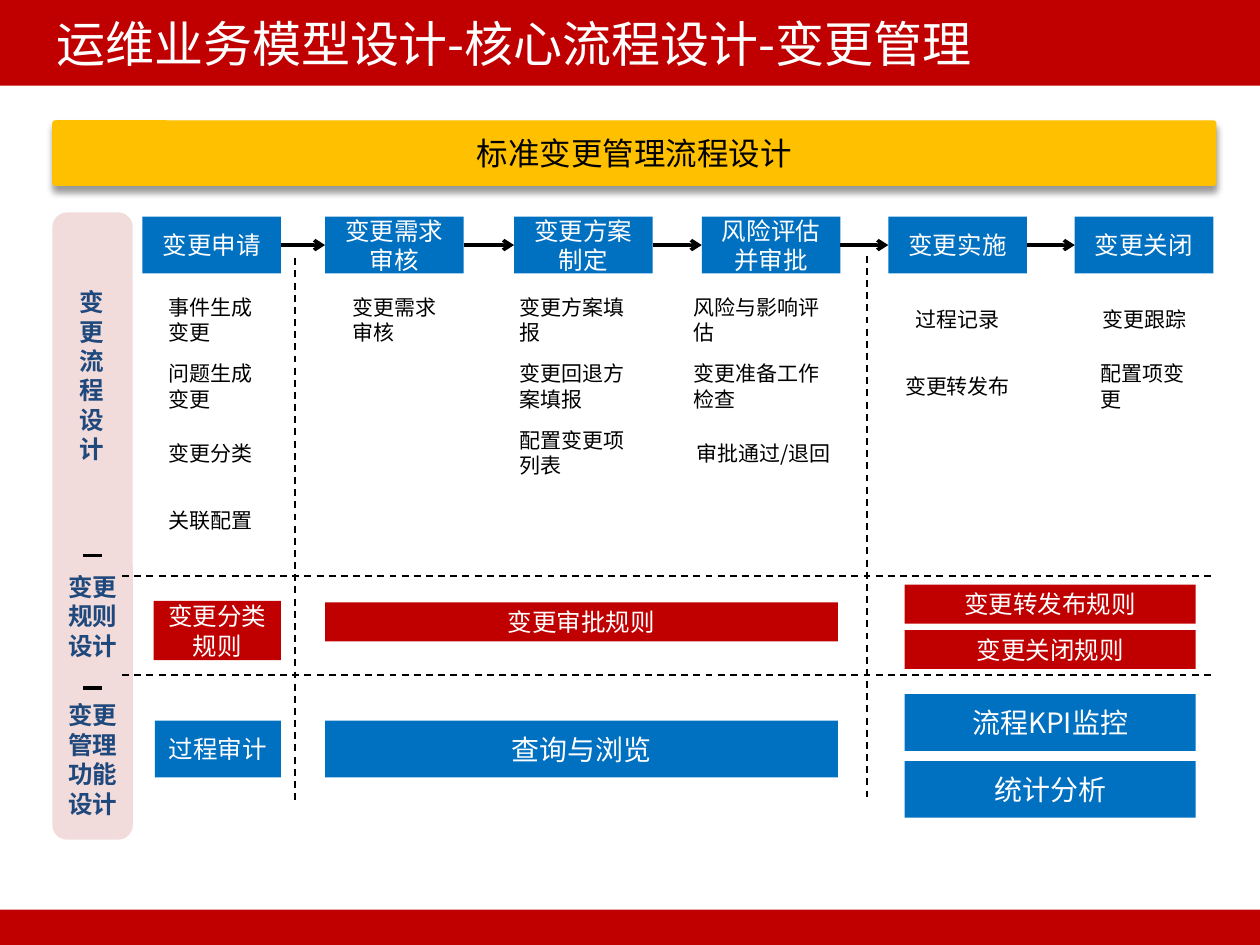
import lxml.etree
import pptx
import pptx.dml.color
import pptx.enum.dml
import pptx.enum.shapes
import pptx.enum.text
import pptx.oxml.ns
import pptx.util

COLUMNS, ROWS = 100, 75
WIDTH, HEIGHT = pptx.util.Inches(10), pptx.util.Inches(7.5)
FONT = "Noto Sans CJK SC"
RED, BLUE, GOLD, PINK, NAVY = "C00000", "0070C0", "FFC000", "F2DCDB", "1F497D"
WHITE, BLACK = "FFFFFF", "000000"
RECTANGLE = pptx.enum.shapes.MSO_SHAPE.RECTANGLE
ROUNDED = pptx.enum.shapes.MSO_SHAPE.ROUNDED_RECTANGLE
LEFT, CENTER = pptx.enum.text.PP_ALIGN.LEFT, pptx.enum.text.PP_ALIGN.CENTER
TOP, MIDDLE = pptx.enum.text.MSO_ANCHOR.TOP, pptx.enum.text.MSO_ANCHOR.MIDDLE

STEPS = [
    (11.3, "变更申请"),
    (25.8, "变更需求审核"),
    (40.8, "变更方案制定"),
    (55.7, "风险评估\n并审批"),
    (70.5, "变更实施"),
    (85.3, "变更关闭"),
]
TASK_COLUMNS = [
    (12.2, 10.1, [("事件生成变更", LEFT), ("问题生成变更", LEFT), ("变更分类", LEFT), ("关联配置", LEFT)]),
    (26.8, 10.1, [("变更需求审核", LEFT)]),
    (40.1, 12.3, [("变更方案填报", LEFT), ("变更回退方案填报", LEFT), ("配置变更项列表", LEFT)]),
    (53.9, 13.4, [("风险与影响评估", LEFT), ("变更准备工作检查", LEFT), ("审批通过/退回", CENTER)]),
    (68.6, 14.8, [("过程记录", CENTER), ("变更转发布", CENTER)]),
    (86.2, 9.2, [("变更跟踪", CENTER), ("配置项变更", LEFT)]),
]
RULES = [
    ((12.2, 47.7, 10.1, 4.7), "变更分类规则"),
    ((25.8, 47.8, 40.7, 3.1), "变更审批规则"),
    ((71.8, 46.4, 23.1, 3.1), "变更转发布规则"),
    ((71.8, 50, 23.1, 3.1), "变更关闭规则"),
]
FUNCTIONS = [
    ((12.3, 57.2, 10, 4.5), "过程审计", 14),
    ((25.8, 57.2, 40.7, 4.5), "查询与浏览", 16),
    ((71.8, 55.1, 23.1, 4.5), "流程KPI监控", 16),
    ((71.8, 60.4, 23.1, 4.5), "统计分析", 16),
]
SECTIONS = [
    ((5, 22.3, 4.6, 15.1), "变更流程设计"),
    ((4.3, 44.9, 6.1, 8.1), "变更规则设计"),
    ((4.3, 55.1, 6.1, 10.4), "变更管理功能设计"),
]


def color(value):
    """Return the colour for a hex string."""
    return pptx.dml.color.RGBColor.from_string(value)


def across(columns):
    """Return the length of a number of grid columns."""
    return round(WIDTH * columns / COLUMNS)


def down(rows):
    """Return the length of a number of grid rows."""
    return round(HEIGHT * rows / ROWS)


def place(area):
    """Turn a grid area into left, top, width and height."""
    left, top, width, height = area
    return across(left), down(top), across(width), down(height)


def add_child(parent, tag, **attributes):
    """Append a DrawingML element to its parent."""
    return lxml.etree.SubElement(parent, pptx.oxml.ns.qn(tag), attributes)


def write(shape, text, size, ink, align=CENTER, anchor=MIDDLE, bold=False):
    """Write one paragraph per line of text into a shape."""
    frame = shape.text_frame
    frame.word_wrap = True
    frame.vertical_anchor = anchor
    for index, line in enumerate(text.split("\n")):
        paragraph = frame.add_paragraph() if index else frame.paragraphs[0]
        paragraph.alignment = align
        run = paragraph.add_run()
        run.text = line
        run.font.size = pptx.util.Pt(size)
        run.font.bold = bold
        run.font.name = FONT
        run.font.color.rgb = color(ink)
        add_child(run.font._element, "a:ea", typeface=FONT)


def add_box(slide, area, fill, kind=RECTANGLE, outline=0):
    """Add a flat filled shape with an optional outline of the same colour."""
    shape = slide.shapes.add_shape(kind, *place(area))
    shape.shadow.inherit = False
    shape.fill.solid()
    shape.fill.fore_color.rgb = color(fill)
    if outline:
        shape.line.color.rgb = color(fill)
        shape.line.width = pptx.util.Pt(outline)
    else:
        shape.line.fill.background()
    return shape


def add_label(slide, area, text, size, ink, **style):
    """Add a text box."""
    write(slide.shapes.add_textbox(*place(area)), text, size, ink, **style)


def add_line(slide, start, end, width):
    """Add a black straight line between two grid points."""
    line = slide.shapes.add_connector(
        pptx.enum.shapes.MSO_CONNECTOR.STRAIGHT,
        across(start[0]), down(start[1]), across(end[0]), down(end[1]),
    )
    line.line.color.rgb = color(BLACK)
    line.line.width = pptx.util.Pt(width)
    add_child(line._element.spPr, "a:effectLst")
    return line


def add_divider(slide, start, end):
    """Add a dashed line."""
    line = add_line(slide, start, end, 1)
    line.line.dash_style = pptx.enum.dml.MSO_LINE.DASH


def add_arrow(slide, source, target):
    """Join the right side of one box to the left side of the next."""
    line = add_line(slide, (0, 0), (0, 0), 2)
    line.begin_connect(source, 3)
    line.end_connect(target, 1)
    add_child(line.line._get_or_add_ln(), "a:tailEnd", type="arrow")


def add_banner(slide):
    """Add the gold heading with its soft shadow."""
    banner = add_box(slide, (4.2, 9.6, 92.3, 5.1), GOLD, ROUNDED, 0.75)
    banner.adjustments[0] = 0.04
    effects = banner._element.spPr.find(pptx.oxml.ns.qn("a:effectLst"))
    shadow = add_child(
        effects, "a:outerShdw", blurRad=str(pptx.util.Pt(4)),
        dist=str(pptx.util.Pt(3)), dir="5400000", rotWithShape="0",
    )
    shade = add_child(shadow, "a:srgbClr", val=BLACK)
    add_child(shade, "a:alpha", val="40000")
    write(banner, "标准变更管理流程设计", 18, BLACK)


def add_process(slide):
    """Add the chain of steps and the tasks under each."""
    boxes = []
    for left, text in STEPS:
        box = add_box(slide, (left, 17.2, 11, 4.5), BLUE)
        write(box, text, 14, WHITE)
        boxes.append(box)
    for source, target in zip(boxes, boxes[1:]):
        add_arrow(slide, source, target)
    for left, width, tasks in TASK_COLUMNS:
        for index, (text, align) in enumerate(tasks):
            area = (left, 23.5 + 5.3 * index, width, 3.7)
            write(add_box(slide, area, WHITE, ROUNDED, 0.75), text, 12, BLACK, align)


def add_rules_and_functions(slide):
    """Add the red rule bars and the blue function bars."""
    for area, text in RULES:
        box = add_box(slide, area, RED)
        box.text_frame.margin_left = box.text_frame.margin_right = across(0.2)
        write(box, text, 14, WHITE)
    for area, text, size in FUNCTIONS:
        write(add_box(slide, area, BLUE), text, size, WHITE)


def add_sections(slide):
    """Add the side panel with section names, and the dividers."""
    add_box(slide, (4.3, 17, 6.1, 49.5), PINK, ROUNDED, 2)
    for area, text in SECTIONS:
        add_label(slide, area, text, 14, NAVY, anchor=TOP, bold=True)
    for row in (44.1, 54.6):
        add_line(slide, (6.6, row), (8.1, row), 2)
    for row in (45.7, 53.6):
        add_divider(slide, (9.7, row), (96.5, row))
    for column, row in ((23.4, 20.5), (68.8, 20.3)):
        add_divider(slide, (column, row), (column, row + 43))


def main():
    """Build the slide and save it."""
    presentation = pptx.Presentation()
    presentation.slide_width, presentation.slide_height = WIDTH, HEIGHT
    slide = presentation.slides.add_slide(presentation.slide_layouts[6])
    add_box(slide, (0, 0, 100, 6.8), RED)
    add_box(slide, (0, 72.2, 100, 2.8), RED)
    add_label(slide, (3.5, 0, 92.9, 6.8), "运维业务模型设计-核心流程设计-变更管理", 28, WHITE, align=LEFT)
    add_process(slide)
    add_rules_and_functions(slide)
    add_sections(slide)
    add_banner(slide)
    presentation.save("out.pptx")


if __name__ == "__main__":
    main()
